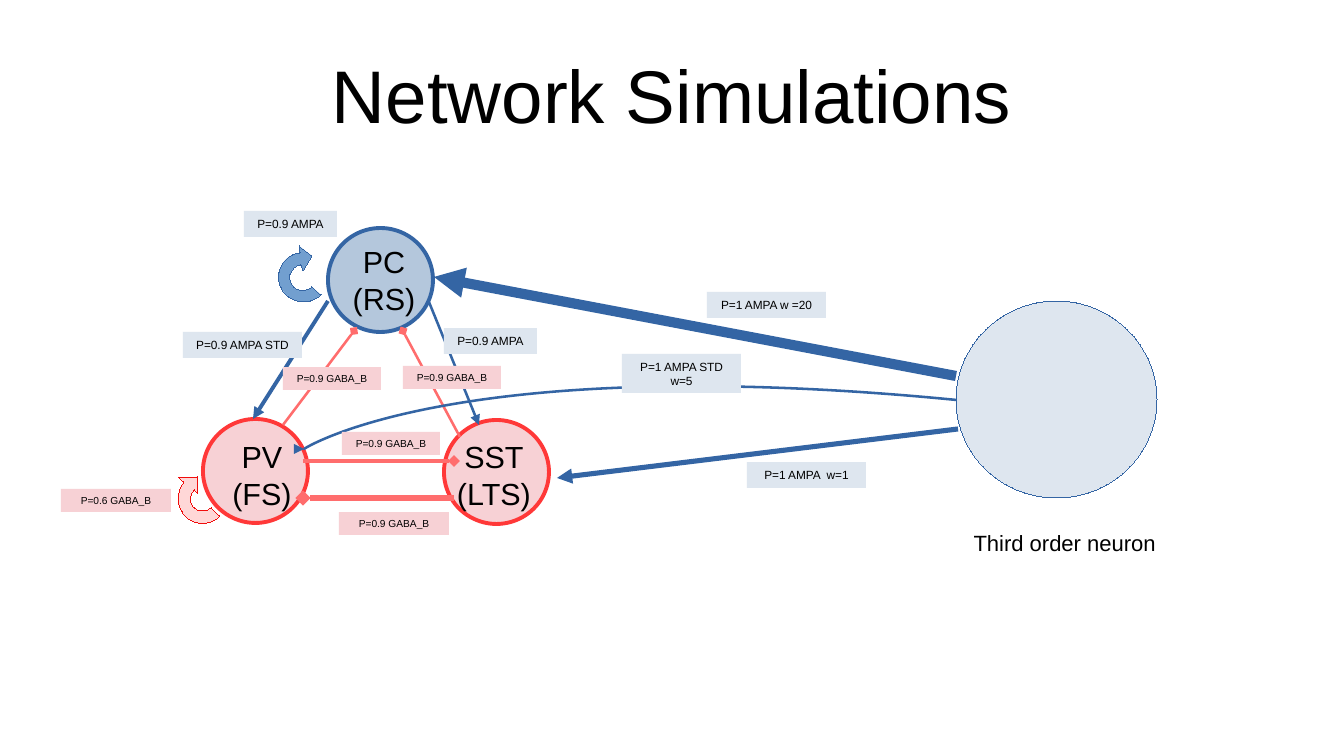
from pptx import Presentation
from pptx.dml.color import RGBColor
from pptx.enum.shapes import MSO_CONNECTOR, MSO_SHAPE
from pptx.enum.text import MSO_ANCHOR, PP_ALIGN
from pptx.oxml.ns import qn
from pptx.util import Pt
from lxml.etree import SubElement

PX = 7495  # EMU per px, 122 px to the inch
rgb = RGBColor.from_string
BLUE, PALE_BLUE = "3465A4", "DEE6EF"
PINK, PALE_PINK = "FF6D6D", "F7D1D5"


def paint(sp, fill, line=None, width=0):
    sp.shadow.inherit = False
    if fill:
        sp.fill.solid()
        sp.fill.fore_color.rgb = rgb(fill)
    else:
        sp.fill.background()
    if line:
        sp.line.color.rgb = rgb(line)
        # A hairline needs its zero width written out
        sp.line._get_or_add_ln().set("w", str(Pt(width)))
    else:
        sp.line.fill.background()


def write(sp, text, size, anchor=MSO_ANCHOR.MIDDLE):
    tf = sp.text_frame
    tf.word_wrap = True
    tf.vertical_anchor = anchor
    tf.text = text
    for p in tf.paragraphs:
        p.alignment = PP_ALIGN.CENTER
        for r in p.runs:
            r.font.name = "Arial"
            r.font.size = Pt(size)
            r.font.color.rgb = rgb("000000")


prs = Presentation()
prs.slide_width, prs.slide_height = 1344 * PX, 756 * PX
s = prs.slides.add_slide(prs.slide_layouts[6])
shapes = s.shapes

# Title
title = shapes.add_textbox(67 * PX, 30 * PX, 1210 * PX, 127 * PX)
write(title, "Network Simulations", 44)
tf = title.text_frame
tf.margin_left = tf.margin_right = tf.margin_top = tf.margin_bottom = 0

# Neurons
for x, y, w, h, fill, line, width in [
    (203, 419, 105, 104, PALE_PINK, "FF3838", 2.3),
    (956, 301, 201, 197, PALE_BLUE, BLUE, 0),
    (444, 420, 105, 104, PALE_PINK, "FF3838", 2.3),
    (328, 228, 105, 104, "B4C7DC", BLUE, 2.3),
]:
    sp = shapes.add_shape(MSO_SHAPE.OVAL, x * PX, y * PX, w * PX, h * PX)
    paint(sp, fill, line, width)

# Straight connections
for x1, y1, x2, y2, color, width, head in [
    (956, 376, 434, 277, BLUE, 6, "triangle"),
    (328, 301, 253, 419, BLUE, 2.3, "triangle"),
    (429, 302, 479, 425, BLUE, 1.5, "triangle"),
    (303, 461, 454, 461, PINK, 2.3, "diamond"),
    (454, 498, 303, 498, PINK, 3, "diamond"),
    (958, 429, 557, 478, BLUE, 3, "triangle"),
    (283, 425, 354, 331, PINK, 1.5, "diamond"),
    (460, 437, 403, 331, PINK, 1.5, "diamond"),
]:
    cx = shapes.add_connector(MSO_CONNECTOR.STRAIGHT, x1 * PX, y1 * PX, x2 * PX, y2 * PX)
    cx.line.color.rgb = rgb(color)
    cx.line.width = Pt(width)
    SubElement(cx.line._get_or_add_ln(), qn("a:tailEnd"), type=head)
    SubElement(cx._element.spPr, qn("a:effectLst"))

# Self-loops and the curved connection: 2 numbers a corner, 6 a Bezier curve
outlines = [
    ((178, 475, 50, 49),
     [(194, 490), (189, 495, 189, 503, 194, 508), (199, 512, 206, 512, 211, 508),
      (220, 516), (210, 526, 195, 526, 185, 516), (176, 506, 176, 492, 184, 482),
      (179, 478), (198, 477), (198, 494)], "FFD7D7", "F10D0C", 0),
    ((278, 253, 50, 49),
     [(301, 265), (295, 265, 292, 270, 290, 275), (289, 281, 292, 286, 296, 289),
      (303, 292, 309, 290, 312, 287), (321, 295), (312, 303, 301, 304, 292, 299),
      (282, 294, 277, 283, 279, 273), (281, 262, 289, 254, 300, 253),
      (299, 246), (312, 256), (303, 271)], "729FCF", BLUE, 0),
    ((304, 387, 652, 63),
     [(956, 400), (454, 351, 304, 449, 304, 449), (299, 449), (304, 449)],
     None, BLUE, 1.5),
]
for (x, y, w, h), parts, fill, line, width in outlines:
    builder = shapes.build_freeform(x * PX, y * PX)
    builder.add_line_segments([((x + w) * PX, (y + h) * PX)], close=bool(fill))
    sp = builder.convert_to_shape()
    paint(sp, fill, line, width)
    route = next(sp._element.iter(qn("a:path")))
    for step in list(route):
        route.remove(step)
    for i, part in enumerate(parts):
        kind = "a:moveTo" if i == 0 else "a:lnTo" if len(part) == 2 else "a:cubicBezTo"
        step = SubElement(route, qn(kind))
        for px, py in zip(part[::2], part[1::2]):
            SubElement(step, qn("a:pt"), x=str((px - x) * PX), y=str((py - y) * PX))
    if fill:
        SubElement(route, qn("a:close"))
    else:
        SubElement(sp.line._get_or_add_ln(), qn("a:tailEnd"), type="triangle")

# Neuron names and caption
for text, x, y, w, h, size in [
    ("Third order neuron", 898, 523, 333, 123, 13),
    ("PC\n(RS)", 317, 237, 134, 80, 18),
    ("PV\n(FS)", 195, 432, 134, 80, 18),
    ("SST\n(LTS)", 427, 432, 134, 80, 18),
]:
    sp = shapes.add_textbox(x * PX, y * PX, w * PX, h * PX)
    write(sp, text, size, MSO_ANCHOR.TOP)

# Connection labels
for text, x, y, w, h in [
    ("P=0.9 AMPA STD", 183, 332, 119, 26),
    ("P=0.9 GABA_B", 342, 432, 98, 23),
    ("P=0.9 GABA_B", 283, 367, 98, 23),
    ("P=0.9 GABA_B", 403, 366, 98, 23),
    ("P=0.9 AMPA", 244, 211, 93, 26),
    ("P=0.9 AMPA", 444, 328, 93, 26),
    ("P=1 AMPA STD w=5", 622, 354, 119, 39),
    ("P=1 AMPA w =20", 707, 292, 119, 26),
    ("P=1 AMPA  w=1", 747, 462, 119, 26),
    ("P=0.9 GABA_B", 339, 512, 110, 23),
    ("P=0.6 GABA_B", 61, 489, 110, 23),
]:
    sp = shapes.add_shape(MSO_SHAPE.RECTANGLE, x * PX, y * PX, w * PX, h * PX)
    inhibitory = "GABA" in text
    paint(sp, PALE_PINK if inhibitory else PALE_BLUE)
    write(sp, text, 6 if inhibitory else 7)

prs.save("out.pptx")
